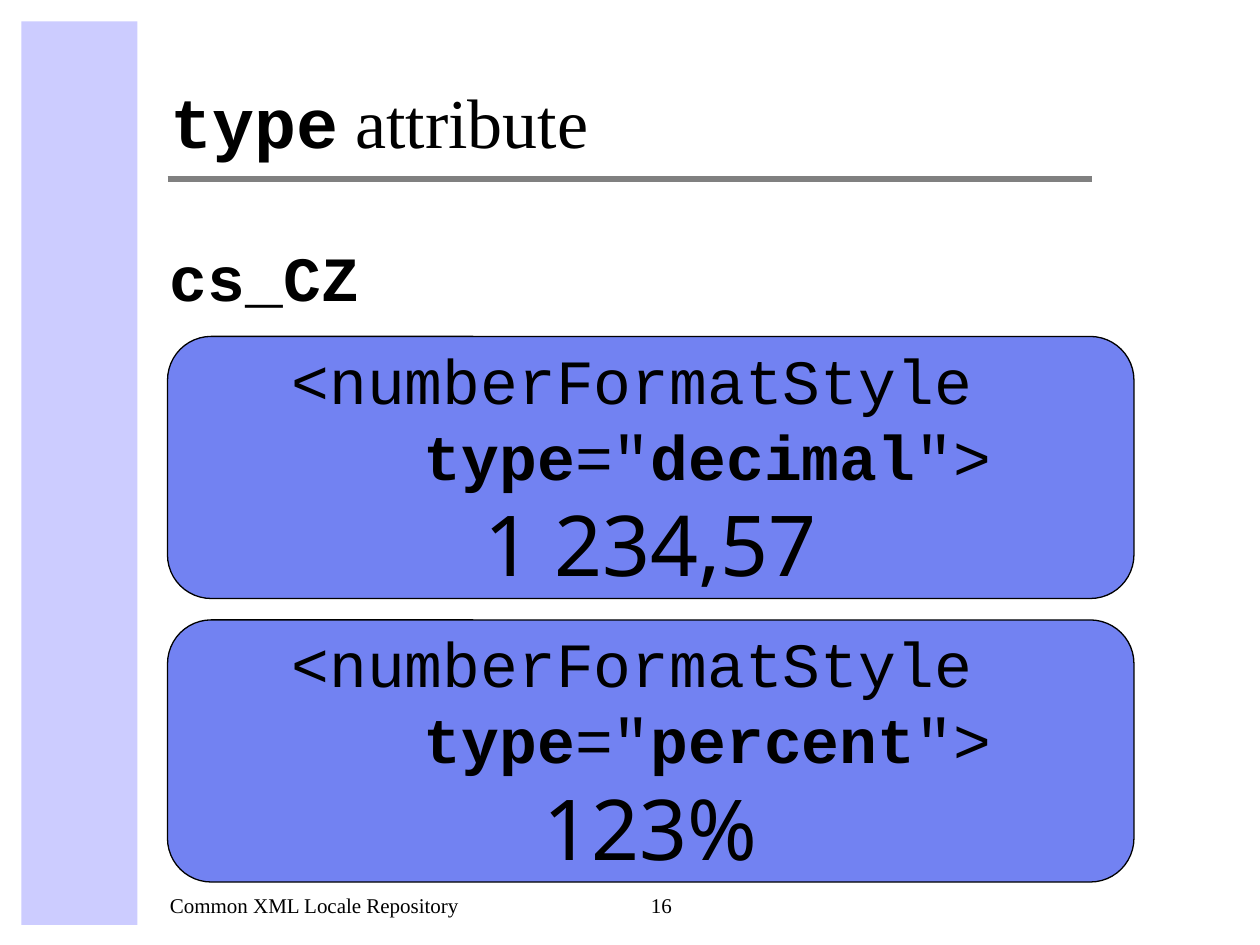
import pptx
import pptx.dml.color
import pptx.enum.shapes
import pptx.enum.text
import pptx.oxml
import pptx.util
from dataclasses import dataclass

Inches = pptx.util.Inches
Align = pptx.enum.text.PP_ALIGN
Anchor = pptx.enum.text.MSO_ANCHOR
Shape = pptx.enum.shapes.MSO_SHAPE


@dataclass(frozen=True)
class Theme:
    text: str = "000000"
    band: str = "CCCCFF"
    rule: str = "808080"
    card: str = "7282F2"
    serif: str = "Times New Roman"
    code: str = "Courier New"
    sample: str = "Noto Sans"
    title_size: int = 40
    code_size: int = 36
    sample_size: int = 48
    footer_size: int = 12


class SlideBuilder:
    def __init__(self, slide, theme):
        self.slide = slide
        self.theme = theme

    def color(self, value):
        return pptx.dml.color.RGBColor.from_string(value)

    def place(self, shape, left, top, width, height):
        shape.left, shape.top = Inches(left), Inches(top)
        shape.width, shape.height = Inches(width), Inches(height)

    def fill_paragraph(self, paragraph, parts, size, align=Align.LEFT):
        paragraph.alignment = align
        for text, font_name, bold in parts:
            run = paragraph.add_run()
            run.text = text
            run.font.name = font_name
            run.font.size = pptx.util.Pt(size)
            run.font.bold = bold
            run.font.color.rgb = self.color(self.theme.text)

    def title(self, parts, *box):
        title = self.slide.shapes.title
        self.place(title, *box)
        title.text_frame.vertical_anchor = Anchor.BOTTOM
        title.text_frame.word_wrap = True
        self.fill_paragraph(title.text_frame.paragraphs[0], parts, self.theme.title_size)

    def text(self, parts, size, *box, align=Align.LEFT, anchor=Anchor.BOTTOM, inset=0.05):
        text_frame = self.slide.shapes.add_textbox(*map(Inches, box)).text_frame
        text_frame.word_wrap = True
        text_frame.vertical_anchor = anchor
        text_frame.margin_top = Inches(inset)
        self.fill_paragraph(text_frame.paragraphs[0], parts, size, align)

    def block(self, kind, fill, *box):
        shape = self.slide.shapes.add_shape(kind, *map(Inches, box))
        shape.shadow.inherit = False
        shape.fill.solid()
        shape.fill.fore_color.rgb = self.color(fill)
        shape.line.fill.background()
        return shape

    def rule(self, left, right, top):
        line = self.slide.shapes.add_connector(
            pptx.enum.shapes.MSO_CONNECTOR.STRAIGHT,
            Inches(left), Inches(top), Inches(right), Inches(top))
        line.line.color.rgb = self.color(self.theme.rule)
        line.line.width = pptx.util.Pt(3)
        namespace = pptx.oxml.ns.nsdecls("a")
        line._element.spPr.append(pptx.oxml.parse_xml(f"<a:effectLst {namespace}/>"))

    def card(self, style_type, sample, *box):
        theme = self.theme
        card = self.block(Shape.ROUNDED_RECTANGLE, theme.card, *box)
        card.line.color.rgb = self.color(theme.text)
        card.line.width = pptx.util.Pt(0.75)
        text_frame = card.text_frame
        text_frame.word_wrap = False
        text_frame.vertical_anchor = Anchor.MIDDLE
        attribute = [("   ", False), ("type", True), ('="', False),
                     (style_type, True), ('">', False)]
        lines = [
            ([("<numberFormatStyle ", theme.code, False)], theme.code_size),
            ([(text, theme.code, bold) for text, bold in attribute], theme.code_size),
            ([(sample, theme.sample, False)], theme.sample_size),
        ]
        for index, (parts, size) in enumerate(lines):
            paragraph = text_frame.add_paragraph() if index else text_frame.paragraphs[0]
            self.fill_paragraph(paragraph, parts, size, Align.CENTER)


def main():
    theme = Theme()
    presentation = pptx.Presentation()
    presentation.slide_width, presentation.slide_height = Inches(10), Inches(7.5)
    slide = presentation.slides.add_slide(presentation.slide_layouts[5])
    builder = SlideBuilder(slide, theme)

    builder.block(Shape.RECTANGLE, theme.band, 0.17, 0.17, 0.92, 7.17)
    builder.rule(1.33, 8.67, 1.42)
    builder.title([("type", theme.code, True), (" attribute", theme.serif, False)],
                  1.25, 0.17, 7.42, 1.17)
    samples = [("decimal", "1 234,57"), ("percent", "123%")]
    for index, (style_type, sample) in enumerate(samples):
        builder.card(style_type, sample, 1.33, 2.67 + 2.25 * index, 7.67, 2.08)
    builder.text([("cs_CZ", theme.code, True)], theme.code_size,
                 1.25, 1.75, 8.42, 0.7, anchor=Anchor.TOP, inset=0.14)
    builder.text([("Common XML Locale Repository", theme.serif, False)],
                 theme.footer_size, 1.25, 6.83, 3.67, 0.5)
    builder.text([("16", theme.serif, False)], theme.footer_size,
                 5, 6.83, 0.5, 0.5, align=Align.CENTER)
    presentation.save("out.pptx")


if __name__ == "__main__":
    main()
